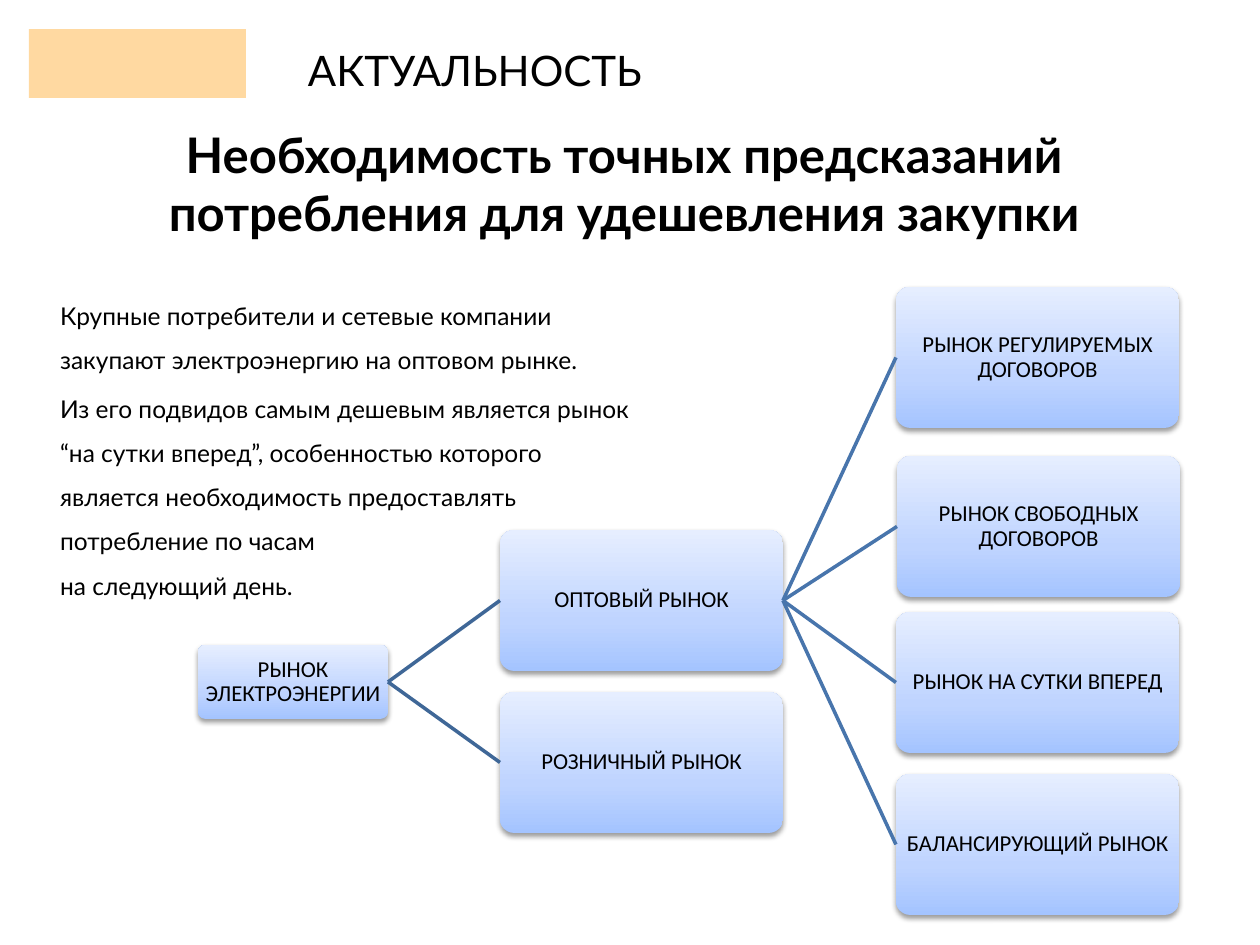
from copy import deepcopy

from lxml import etree
from pptx import Presentation
from pptx.dml.color import RGBColor
from pptx.enum.shapes import MSO_CONNECTOR, MSO_SHAPE
from pptx.enum.text import MSO_ANCHOR, PP_ALIGN
from pptx.oxml.ns import qn
from pptx.util import Emu, Pt

STRAIGHT = MSO_CONNECTOR.STRAIGHT
ROUNDED = MSO_SHAPE.ROUNDED_RECTANGLE
RECTANGLE = MSO_SHAPE.RECTANGLE
MIDDLE = MSO_ANCHOR.MIDDLE
LEFT, CENTER = PP_ALIGN.LEFT, PP_ALIGN.CENTER
LEFT_SITE, RIGHT_SITE = 1, 3

PX = 914400 // 126
COLORS = {
    "text": "000000",
    "badge": "FFD9A1",
    "shadow": "000000",
    "root_link": "3F6797",
    "market_link": "4875AC",
}
NODE_GRADIENT = [(0, "A4C4FF"), (0.35, "BFD4FF"), (1, "E6EEFF")]
NODE_SIZE = (283, 141)

BRANCHES = [
    ("ОПТОВЫЙ РЫНОК", 302, 243, [
        ("РЫНОК РЕГУЛИРУЕМЫХ ДОГОВОРОВ", 698, 0),
        ("РЫНОК СВОБОДНЫХ ДОГОВОРОВ", 699, 169),
        ("РЫНОК НА СУТКИ ВПЕРЕД", 698, 325),
        ("БАЛАНСИРУЮЩИЙ РЫНОК", 698, 487),
    ]),
    ("РОЗНИЧНЫЙ РЫНОК", 302, 405, []),
]
WHOLESALE = "Крупные потребители и сетевые компании закупают электроэнергию на оптовом рынке."
DAY_AHEAD = (
    "Из его подвидов самым дешевым является рынок “на сутки вперед”, особенностью "
    "которого является необходимость предоставлять потребление по часам"
)
NEXT_DAY = "на следующий день."


def px(*lengths):
    return [Emu(length * PX) for length in lengths]


def rgb(name):
    return RGBColor.from_string(COLORS[name])


def set_margins(frame, left, top, right, bottom):
    frame.margin_left, frame.margin_top, frame.margin_right, frame.margin_bottom = px(
        left, top, right, bottom)


def style(paragraph, size, font="Lato", bold=False, align=LEFT):
    paragraph.alignment = align
    for run in paragraph.runs:
        run.font.size = Pt(size)
        run.font.name = font
        run.font.bold = bold
        run.font.color.rgb = rgb("text")


def add_label(slide, box, text, size, margins, **look):
    frame = slide.shapes.add_textbox(*px(*box)).text_frame
    frame.word_wrap = True
    set_margins(frame, *margins)
    frame.text = text
    style(frame.paragraphs[0], size, **look)


def add_badge(slide, left, top, width, height):
    badge = slide.shapes.add_shape(RECTANGLE, *px(left, top, width, height))
    badge.shadow.inherit = False
    badge.fill.solid()
    badge.fill.fore_color.rgb = rgb("badge")
    badge.line.fill.background()


def add_reasons(slide, left, top, width, height):
    frame = slide.shapes.add_textbox(*px(left, top, width, height)).text_frame
    frame.word_wrap = True
    set_margins(frame, 60, 24, 13, 6)
    frame.text = WHOLESALE
    day_ahead = frame.add_paragraph()
    day_ahead.text = DAY_AHEAD
    day_ahead.add_line_break()
    day_ahead.add_run().text = NEXT_DAY
    day_ahead.space_before = Pt(3)
    for paragraph in frame.paragraphs:
        paragraph.line_spacing = 1.5
        style(paragraph, 14)


def fill_node(node):
    node.fill.gradient()
    node.fill.gradient_angle = 90
    stop_list = node._element.spPr.find(qn("a:gradFill")).find(qn("a:gsLst"))
    stop_list.insert(1, deepcopy(stop_list[0]))
    for stop, (position, color) in zip(node.fill.gradient_stops, NODE_GRADIENT):
        stop.position = position
        stop.color.rgb = RGBColor.from_string(color)


def cast_shadow(node):
    node.shadow.inherit = False
    effects = node._element.spPr.find(qn("a:effectLst"))
    shadow = etree.SubElement(
        effects, qn("a:outerShdw"), blurRad=str(Pt(3.1)), dist=str(Pt(1.6)),
        dir="5400000", rotWithShape="0")
    shade = etree.SubElement(shadow, qn("a:srgbClr"), val=COLORS["shadow"])
    etree.SubElement(shade, qn("a:alpha"), val="38000")


def add_node(slide, text, left, top, width, height):
    node = slide.shapes.add_shape(ROUNDED, *px(left, top, width, height))
    node.adjustments[0] = 0.1
    fill_node(node)
    node.line.fill.background()
    cast_shadow(node)
    frame = node.text_frame
    frame.word_wrap = True
    frame.vertical_anchor = MIDDLE
    set_margins(frame, 5, 5, 5, 5)
    frame.text = text
    frame.paragraphs[0].line_spacing = 0.9
    style(frame.paragraphs[0], 13, font="Calibri", align=CENTER)
    return node


def link(slide, parent, child, color):
    connector = slide.shapes.add_connector(STRAIGHT, 0, 0, 0, 0)
    connector.begin_connect(parent, RIGHT_SITE)
    connector.end_connect(child, LEFT_SITE)
    connector.line.color.rgb = rgb(color)
    connector.line.width = Pt(2)
    etree.SubElement(connector._element.spPr, qn("a:effectLst"))


def add_market_tree(slide, left, top):
    root = add_node(slide, "РЫНОК ЭЛЕКТРОЭНЕРГИИ", left, top + 358, 190, 74)
    for name, x, y, markets in BRANCHES:
        branch = add_node(slide, name, left + x, top + y, *NODE_SIZE)
        link(slide, root, branch, "root_link")
        for market_name, market_x, market_y in markets:
            market = add_node(slide, market_name, left + market_x, top + market_y, *NODE_SIZE)
            link(slide, branch, market, "market_link")


def main():
    deck = Presentation()
    deck.slide_width, deck.slide_height = px(1260, 945)
    slide = deck.slides.add_slide(deck.slide_layouts[6])
    add_reasons(slide, 0, 262, 650, 624)
    add_label(slide, (302, 39, 845, 63), "АКТУАЛЬНОСТЬ", 24, (6, 6, 6, 6))
    add_market_tree(slide, 198, 287)
    add_label(slide, (78, 118, 1092, 131),
              "Необходимость точных предсказаний потребления для удешевления закупки",
              28, (13, 6, 13, 6), bold=True, align=CENTER)
    add_badge(slide, 29, 29, 217, 69)
    deck.save("out.pptx")


if __name__ == "__main__":
    main()
